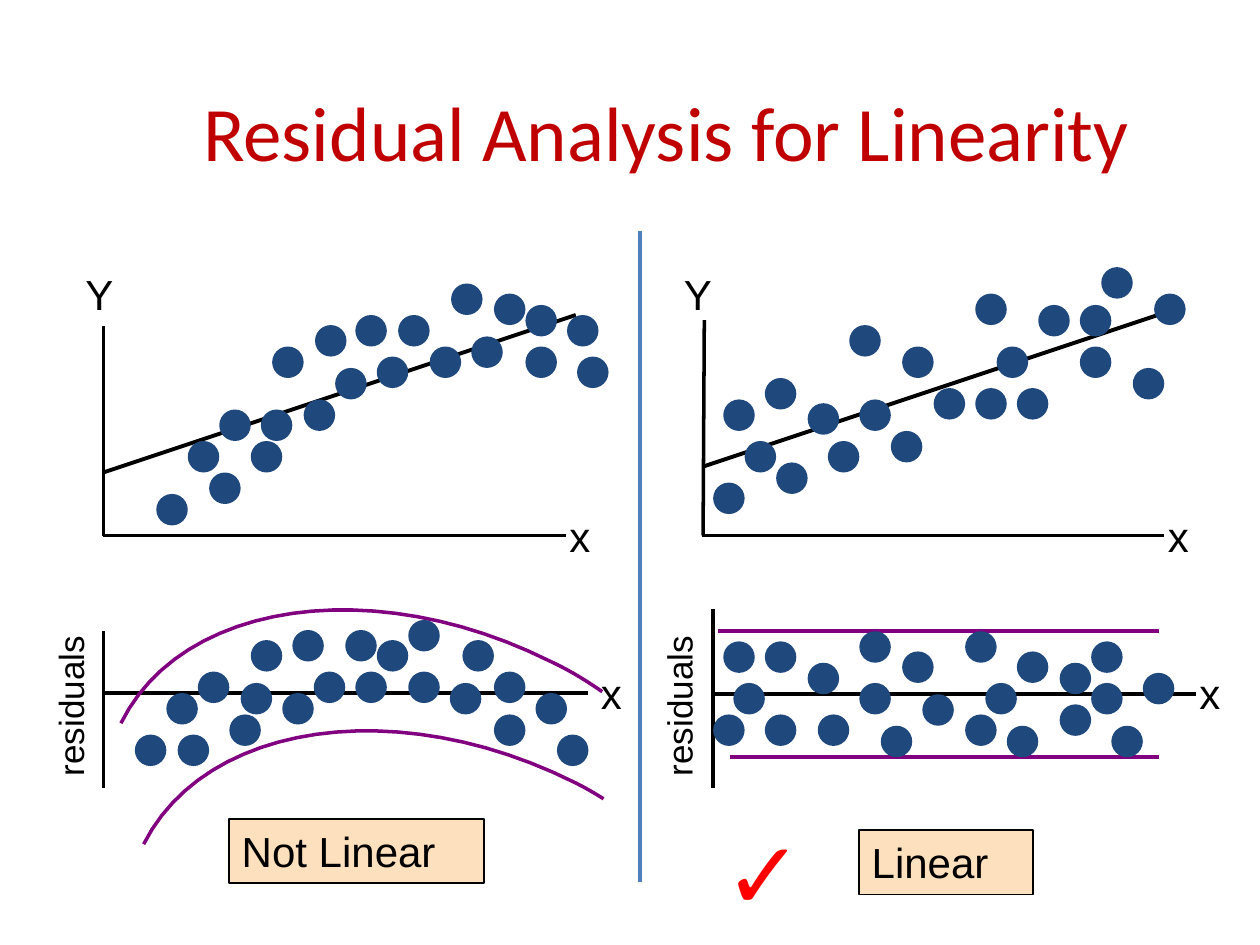
"""Build a slide that compares residual plots of a non-linear and a linear relation."""
from lxml import etree
from pptx import Presentation
from pptx.dml.color import RGBColor
from pptx.enum.shapes import MSO_CONNECTOR, MSO_SHAPE
from pptx.enum.text import MSO_ANCHOR, PP_ALIGN
from pptx.oxml.ns import qn
from pptx.util import Pt

STRAIGHT = MSO_CONNECTOR.STRAIGHT
OVAL = MSO_SHAPE.OVAL
MIDDLE = MSO_ANCHOR.MIDDLE
CENTER = PP_ALIGN.CENTER
PX = 9144
DOT = 25
CURVE_STEPS = 24
BLACK, PURPLE, NAVY = "000000", "800080", "1F497D"
rgb = RGBColor.from_string

deck = Presentation()
deck.slide_width, deck.slide_height = 1000 * PX, 750 * PX
slide = deck.slides.add_slide(deck.slide_layouts[5])
shapes = slide.shapes


def draw_line(x1, y1, x2, y2, color=BLACK, width=2):
    line = shapes.add_connector(STRAIGHT, x1 * PX, y1 * PX, x2 * PX, y2 * PX)
    line.line.color.rgb = rgb(color)
    line.line.width = Pt(width)
    etree.SubElement(line._element.spPr, qn("a:effectLst"))


def write(text, left, top, width, height, size=24, color=BLACK, wrap=True):
    label = shapes.add_textbox(left * PX, top * PX, width * PX, height * PX)
    label.text_frame.word_wrap = wrap
    run = label.text_frame.paragraphs[0].add_run()
    run.text = text
    run.font.name = "Arial"
    run.font.size = Pt(size)
    run.font.color.rgb = rgb(color)
    return label


title = shapes.title
title.left, title.top, title.width, title.height = 142 * PX, 50 * PX, 774 * PX, 108 * PX
title.text_frame.vertical_anchor = MIDDLE
heading = title.text_frame.paragraphs[0]
heading.alignment = CENTER
heading_run = heading.add_run()
heading_run.text = "Residual Analysis for Linearity"
heading_run.font.name = "Calibri"
heading_run.font.size = Pt(44)
heading_run.font.color.rgb = rgb("C00000")

for verdict, left, top, width in [("Not Linear", 182, 650, 202), ("Linear", 682, 659, 138)]:
    box = write(verdict, left, top, width, 51)
    box.fill.solid()
    box.fill.fore_color.rgb = rgb("FDE0BD")
    box.line.color.rgb = rgb(BLACK)
    box.line.width = Pt(1)
write("✓", 565, 642, 143, 100, 54, "FF0000")

residual_axes = [(82, 501, 82, 625), (82, 550, 467, 550), (566, 551, 949, 551), (566, 483, 566, 625)]
scatter_axes = [(82, 259, 82, 425), (82, 425, 449, 425), (559, 254, 558, 425), (557, 425, 924, 425)]
for axis in residual_axes + scatter_axes:
    draw_line(*axis)
for fit in [(82, 375, 457, 250), (559, 370, 934, 245)]:
    draw_line(*fit, width=2.25)
for bound in [(570, 501, 920, 501), (579, 601, 920, 601)]:
    draw_line(*bound, PURPLE)

curved_bounds = [
    [(96, 574), (144, 477), (297, 455), (437, 525), (452, 532), (465, 540), (478, 549)],
    [(114, 670), (163, 573), (316, 551), (456, 621), (464, 625), (471, 629), (479, 634)],
]
for controls in curved_bounds:
    points = []
    for first in (0, 3):
        segment = controls[first:first + 4]
        for step in range(1, CURVE_STEPS + 1):
            t = step / CURVE_STEPS
            weights = ((1 - t) ** 3, 3 * t * (1 - t) ** 2, 3 * t ** 2 * (1 - t), t ** 3)
            points.append([PX * sum(w * p[i] for w, p in zip(weights, segment)) for i in (0, 1)])
    builder = shapes.build_freeform(controls[0][0] * PX, controls[0][1] * PX)
    builder.add_line_segments(points, close=False)
    curve = builder.convert_to_shape()
    curve.shadow.inherit = False
    curve.fill.background()
    curve.line.color.rgb = rgb(PURPLE)
    curve.line.width = Pt(2)

curved_residuals = [
    (107, 583), (141, 583), (299, 508), (324, 492), (357, 542), (182, 567), (367, 508),
    (392, 567), (392, 533), (425, 550), (324, 533), (249, 533), (274, 500), (232, 500),
    (132, 550), (157, 533), (191, 542), (282, 533), (199, 508), (442, 583), (224, 550),
]
even_residuals = [
    (641, 526), (607, 509), (566, 567), (582, 542), (574, 509), (682, 542), (682, 501),
    (607, 567), (766, 501), (716, 517), (699, 576), (649, 567), (841, 526), (766, 567),
    (732, 551), (841, 559), (782, 542), (799, 576), (807, 517), (882, 576), (866, 509),
    (907, 534), (866, 542),
]
curved_scatter = [
    (124, 392), (166, 375), (316, 250), (341, 275), (392, 233), (199, 350), (374, 267),
    (417, 275), (417, 242), (450, 250), (358, 225), (266, 292), (282, 250), (250, 258),
    (149, 350), (174, 325), (207, 325), (299, 283), (216, 275), (458, 283), (241, 317),
]
linear_scatter = [
    (566, 383), (591, 350), (774, 233), (791, 275), (857, 242), (616, 367), (807, 308),
    (857, 275), (874, 212), (824, 242), (707, 342), (716, 275), (674, 258), (574, 317),
    (607, 300), (641, 320), (741, 308), (682, 317), (899, 292), (657, 350), (916, 233),
    (774, 308),
]
for left, top in curved_residuals + even_residuals + curved_scatter + linear_scatter:
    dot = shapes.add_shape(OVAL, left * PX, top * PX, DOT * PX, DOT * PX)
    dot.shadow.inherit = False
    dot.fill.solid()
    dot.fill.fore_color.rgb = rgb(NAVY)
    dot.line.fill.background()

for left, top, width in [(467, 525, 42), (942, 525, 44), (442, 400, 51), (917, 400, 43)]:
    write("x", left, top, width, 50)
for left in (58, 533):
    write("Y", left, 208, 42, 50, wrap=False)
for left in (-16, 467):
    write("residuals", left, 533, 143, 43, 20).rotation = 270

draw_line(508, 183, 508, 700, "4F81BD", 2.25)

deck.save("out.pptx")
